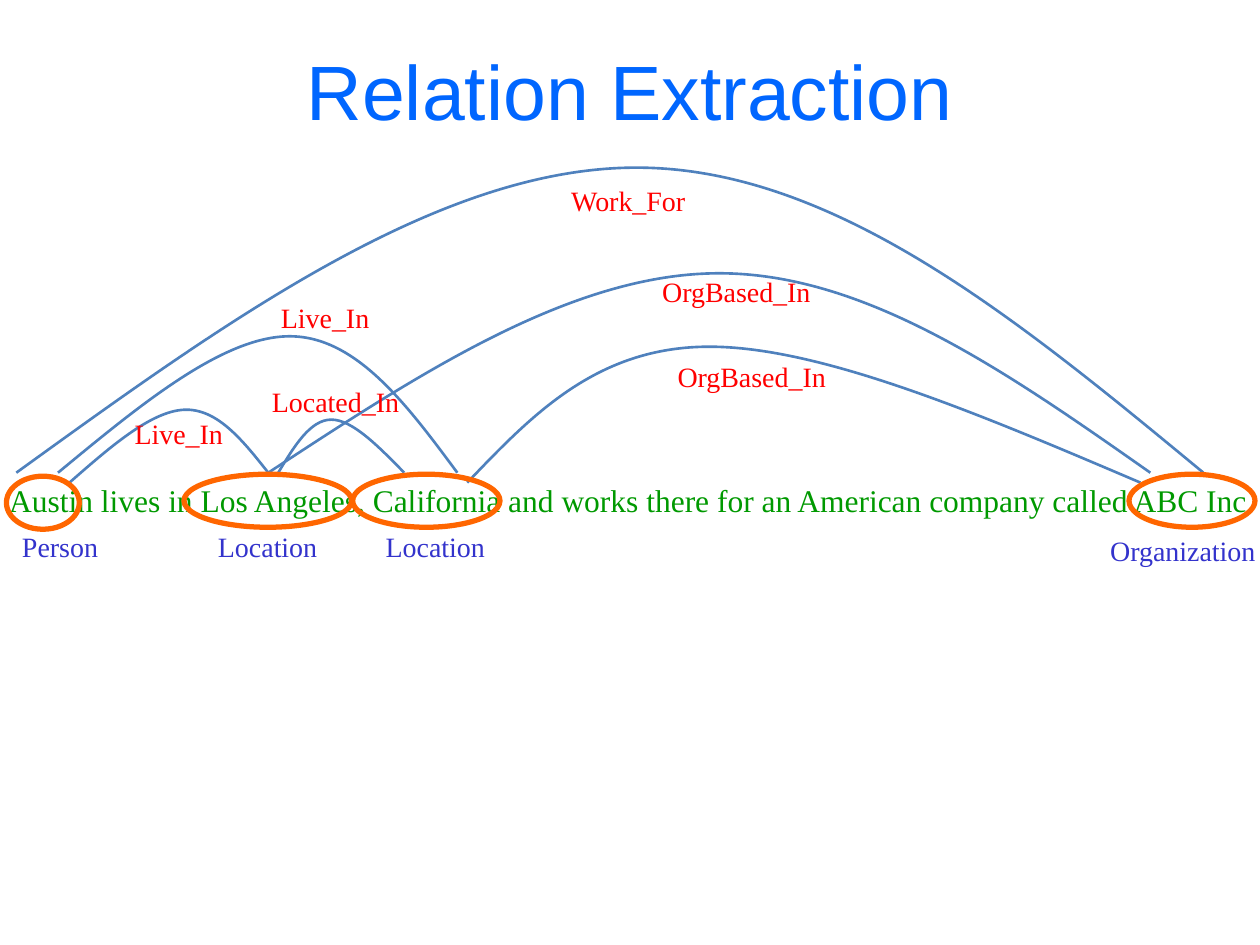
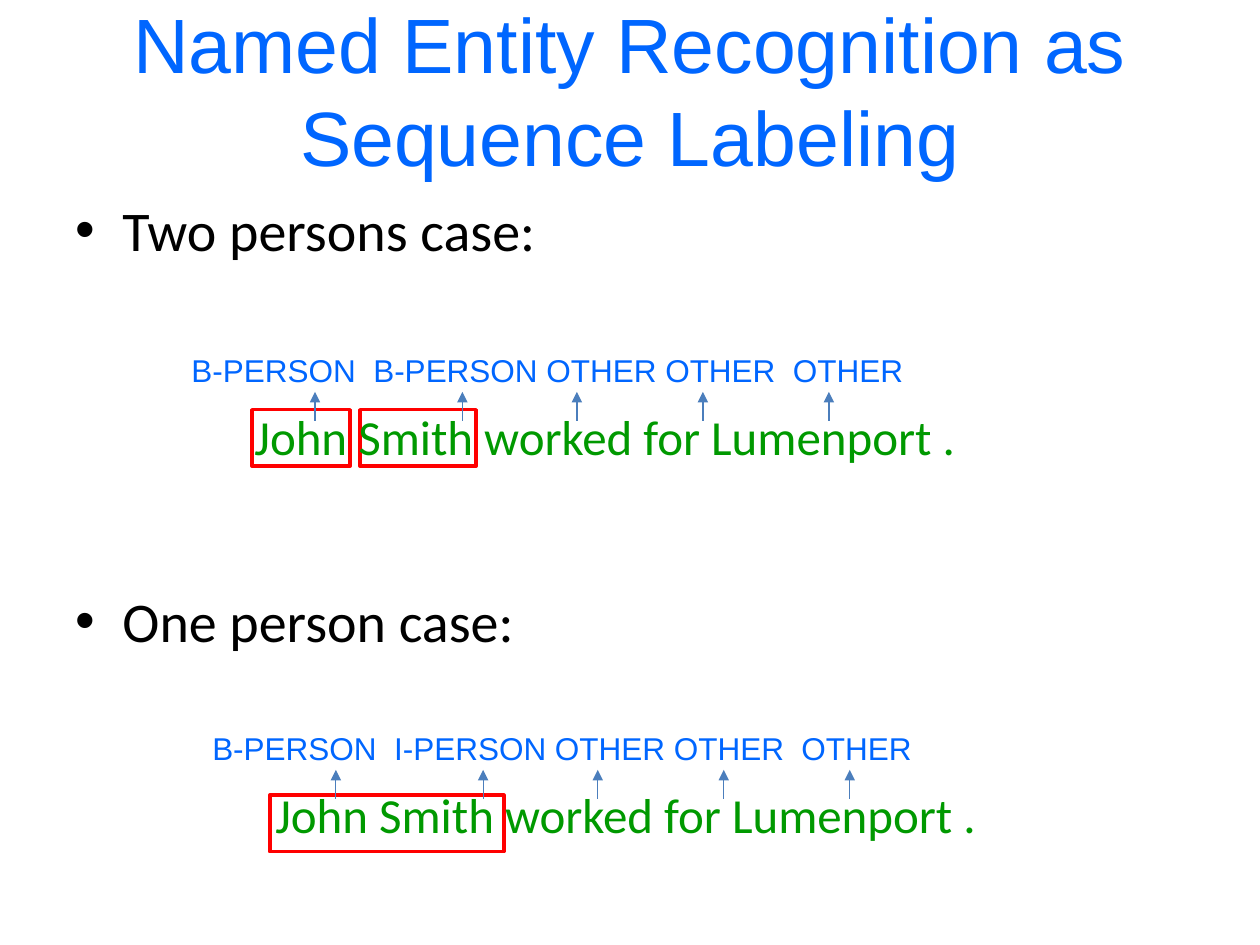
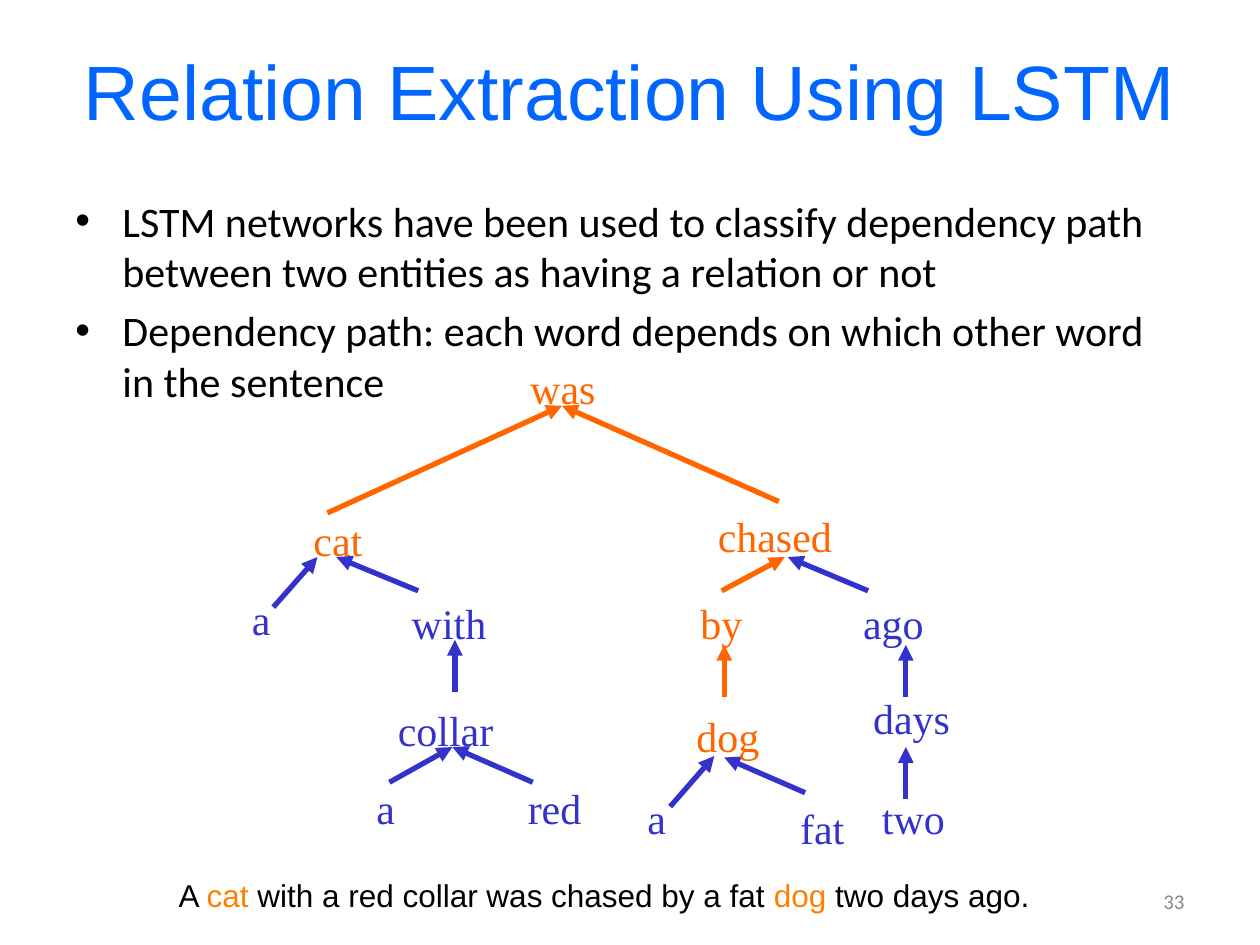
from lxml.etree import SubElement
from pptx import Presentation
from pptx.dml.color import RGBColor
from pptx.enum.shapes import MSO_CONNECTOR, MSO_SHAPE
from pptx.enum.text import MSO_ANCHOR, MSO_AUTO_SIZE, PP_ALIGN
from pptx.oxml.ns import qn
from pptx.util import Cm, Pt

color_of = RGBColor.from_string

# Shared colours and text formats
BLUE, GREEN, RED, ORANGE, INDIGO = "0066FF", "009900", "FF0000", "FF6600", "3333CC"
BLACK, GRAY, CURVE, TAG_ARROW, ENTITY = "000000", "898989", "4F81BD", "4B7EBC", "FF8000"
FORMATS = {
    "title": {"name": "Arial", "size": Pt(44)},
    "tags": {"name": "Arial", "size": Pt(18)},
    "sentence": {"name": "Times New Roman", "size": Pt(18)},
    "label": {"name": "Times New Roman", "size": Pt(16)},
    "word": {"name": "Times New Roman", "size": Pt(24)},
    "example": {"name": "Calibri", "size": Pt(28)},
    "number": {"name": "Calibri", "size": Pt(12)},
    "large bullet": {"name": "Calibri", "size": Pt(32)},
    "small bullet": {"name": "Calibri", "size": Pt(24)},
}


def write(para, text, style, color):
    span = para.add_run()
    span.text = text
    for name, value in FORMATS[style].items():
        setattr(span.font, name, value)
    span.font.color.rgb = color_of(color)


def add_arrow(page, start, end, color, width):
    arrow = page.shapes.add_connector(
        MSO_CONNECTOR.STRAIGHT, *[Cm(value) for value in (*start, *end)])
    arrow.line.color.rgb = color_of(color)
    arrow.line.width = Pt(width)
    SubElement(arrow.line._get_or_add_ln(), qn("a:tailEnd"), type="triangle")
    SubElement(arrow._element.spPr, qn("a:effectLst"))


deck = Presentation()
deck.slide_width, deck.slide_height = Cm(25.4), Cm(19.05)

# Titles and bullets of all slides
pages = []
for title, style, gap, bullets in [
    ("Relation Extraction", None, 0, []),
    ("Named Entity Recognition as Sequence Labeling", "large bullet", 185,
     ["Two persons case:", "One person case:"]),
    ("Relation Extraction Using LSTM", "small bullet", 5,
     ["LSTM networks have been used to classify dependency path "
      "between two entities as having a relation or not",
      "Dependency path: each word depends on which other word in the sentence"]),
]:
    page = deck.slides.add_slide(deck.slide_layouts[5])
    pages.append(page)
    box = page.shapes.title
    box.left, box.top, box.width, box.height = Cm(1.27), Cm(0.21), Cm(22.86), Cm(3.18)
    box.text_frame.auto_size = MSO_AUTO_SIZE.NONE
    box.text_frame.vertical_anchor = MSO_ANCHOR.MIDDLE
    box.text_frame.paragraphs[0].alignment = PP_ALIGN.CENTER
    write(box.text_frame.paragraphs[0], title, style="title", color=BLUE)
    if not bullets:
        continue
    frame = page.shapes.add_textbox(Cm(1.27), Cm(3.81), Cm(22.86), Cm(14.4)).text_frame
    frame.word_wrap = True
    for index, bullet in enumerate(bullets):
        para = frame.add_paragraph() if index else frame.paragraphs[0]
        para.space_before = Pt(gap if index else 0)
        write(para, bullet, style, BLACK)
        properties = para._p.get_or_add_pPr()
        properties.set("marL", str(Cm(0.95)))
        properties.set("indent", str(-Cm(0.95)))
        SubElement(properties, qn("a:buFont"), typeface="Arial")
        SubElement(properties, qn("a:buChar"), char="•")

relation_page, labeling_page, tree_page = pages

# Text boxes are gathered as (page, place, runs, style, align, wrap) and drawn last
texts = [(relation_page, (-0.13, 9.56, 25.76, 1.02),
          [("Austin lives in Los Angeles, California and works there "
            "for an American company called ABC Inc.", GREEN)],
          "sentence", PP_ALIGN.CENTER, False)]
# Outlines are gathered as (page, preset, place, line colour, line width)
outlines = []

# Relation Extraction: entities with their types
for kind, left, top, width, label_left, label_top, label_width in [
    ("Person", 0.13, 9.6, 1.47, 0.18, 10.54, 2.06),
    ("Location", 3.71, 9.56, 3.38, 4.14, 10.54, 2.51),
    ("Location", 7.11, 9.56, 2.97, 7.52, 10.54, 2.51),
    ("Organization", 22.76, 9.56, 2.54, 22.12, 10.62, 3.45),
]:
    outlines.append((relation_page, MSO_SHAPE.OVAL, (left, top, width, 1.07), ORANGE, 3))
    texts.append((relation_page, (label_left, label_top, label_width, 0.94),
                  [(kind, INDIGO)], "label", PP_ALIGN.CENTER, False))

# Relation Extraction: curves through start, peak and end
for relation, left, top, width, start, peak, end in [
    ("Located_In", 5.23, 7.62, 3.07, (5.61, 9.53), (6.68, 8.46), (8.15, 9.53)),
    ("Live_In", 5.41, 5.92, 2.29, (1.17, 9.53), (5.84, 6.78), (9.22, 9.53)),
    ("Live_In", 2.46, 8.26, 2.29, (1.4, 9.73), (3.71, 8.26), (5.41, 9.53)),
    ("OrgBased_In", 13.08, 5.41, 3.53, (5.41, 9.53), (14.5, 5.51), (23.19, 9.53)),
    ("OrgBased_In", 13.39, 7.11, 3.53, (9.42, 9.73), (14.3, 6.99), (22.99, 9.73)),
    ("Work_For", 11.23, 3.56, 2.87, (0.33, 9.53), (12.83, 3.38), (24.26, 9.53)),
]:
    before = [p - (e - s) / 6 for s, p, e in zip(start, peak, end)]
    after = [p + (e - s) / 6 for s, p, e in zip(start, peak, end)]
    rise = [(s + b) / 2 for s, b in zip(start, before)]
    fall = [(a + e) / 2 for a, e in zip(after, end)]
    builder = relation_page.shapes.build_freeform(*[Cm(value) for value in start])
    builder.add_line_segments(
        [(Cm(x), Cm(y)) for x, y in (rise, before, peak, after, fall, end)], close=False)
    curve = builder.convert_to_shape()
    curve.shadow.inherit = False
    curve.fill.background()
    curve.line.color.rgb = color_of(CURVE)
    curve.line.width = Pt(1.5)
    # Every three points become one Bézier segment
    outline = next(curve._element.iter(qn("a:path")))
    segments = outline.findall(qn("a:lnTo"))
    for first in (0, 3):
        bezier = SubElement(outline, qn("a:cubicBezTo"))
        for segment in segments[first:first + 3]:
            bezier.append(segment[0])
            outline.remove(segment)
    texts.append((relation_page, (left, top, width, 0.94), [(relation, RED)],
                  "label", PP_ALIGN.CENTER, False))

# Sequence labeling: the same example twice, the second one shifted
for tags, dx, dy, frames in [
    ("B-PERSON  B-PERSON OTHER OTHER  OTHER", 0, 0,
     [(7.26, 8.26, 2.34, 1.14), (5.08, 8.26, 1.98, 1.14)]),
    ("B-PERSON  I-PERSON OTHER OTHER  OTHER", 0.42, 7.62, [(5.44, 16.03, 4.72, 1.14)]),
]:
    for place in frames:
        outlines.append((labeling_page, MSO_SHAPE.RECTANGLE, place, RED, 2))
    texts.append((labeling_page, (4.88 + dx, 8.06 + dy, 15.04, 1.45),
                  [("John Smith worked for Lumenport .", GREEN)],
                  "example", PP_ALIGN.LEFT, True))
    texts.append((labeling_page, (3.61 + dx, 6.94 + dy, 15.19, 1.02),
                  [(tags, BLUE)], "tags", PP_ALIGN.LEFT, False))
    for x in (6.35, 9.32, 11.63, 14.17, 16.71):
        add_arrow(labeling_page, (x + dx, 8.48 + dy), (x + dx, 7.9 + dy), TAG_ARROW, 0.75)

# Dependency tree: each word with the arrow to the word it depends on
for word, left, top, width, start, end in [
    ("was", 10.44, 7.19, 1.83, None, None),
    ("cat", 6.07, 10.24, 1.5, (6.6, 10.34), (11.33, 8.18)),
    ("chased", 14.22, 10.16, 2.82, (15.7, 10.11), (11.33, 8.18)),
    ("a", 4.83, 11.84, 0.89, (5.51, 12.24), (6.4, 11.23)),
    ("with", 8.05, 11.91, 2.01, (8.43, 11.91), (6.78, 11.23)),
    ("by", 13.87, 11.91, 1.35, (14.55, 11.91), (15.82, 11.23)),
    ("ago", 17.15, 11.91, 1.73, (17.5, 11.91), (15.88, 11.23)),
    ("collar", 7.77, 14.07, 2.44, (9.17, 13.94), (9.17, 12.9)),
    ("a", 7.34, 15.65, 0.89, (7.85, 15.77), (9.12, 15.06)),
    ("red", 10.39, 15.65, 1.6, (10.74, 15.77), (9.12, 15.06)),
    ("dog", 13.79, 14.2, 1.78, (14.6, 14.05), (14.6, 13)),
    ("a", 12.8, 15.85, 0.89, (13.51, 16.26), (14.4, 15.24)),
    ("fat", 15.88, 16.05, 1.4, (16.23, 15.98), (14.6, 15.27)),
    ("days", 17.35, 13.84, 2.36, (18.26, 14.05), (18.26, 13)),
    ("two", 17.53, 15.85, 1.93, (18.26, 16.1), (18.26, 15.06)),
]:
    color = ORANGE if word in ("was", "cat", "chased", "by", "dog") else INDIGO
    # The two widest boxes wrap, which keeps their words at the left edge
    texts.append((tree_page, (left, top, width, 1.27), [(word, color)],
                  "word", PP_ALIGN.LEFT, word in ("days", "two")))
    if start:
        add_arrow(tree_page, start, end, color, 3)

# Example sentence and page number below the tree
texts.append((tree_page, (3.35, 17.53, 17.83, 1.02),
              [("A ", BLACK), ("cat", ENTITY),
               (" with a red collar was chased by a fat ", BLACK),
               ("dog", ENTITY), (" two days ago.", BLACK)],
              "tags", PP_ALIGN.LEFT, False))
texts.append((tree_page, (18.21, 17.65, 5.92, 1.02), [("33", GRAY)],
              "number", PP_ALIGN.RIGHT, True))

# Draw the text, then the ovals over it and the rectangles behind it
for page, place, runs, style, align, wrap in texts:
    frame = page.shapes.add_textbox(*[Cm(value) for value in place]).text_frame
    frame.word_wrap = wrap
    frame.vertical_anchor = MSO_ANCHOR.MIDDLE
    frame.paragraphs[0].alignment = align
    for text, color in runs:
        write(frame.paragraphs[0], text, style, color)

for page, preset, place, color, width in outlines:
    shape = page.shapes.add_shape(preset, *[Cm(value) for value in place])
    shape.shadow.inherit = False
    shape.fill.background()
    shape.line.color.rgb = color_of(color)
    shape.line.width = Pt(width)
    if preset == MSO_SHAPE.RECTANGLE:
        page.shapes.title._element.addprevious(shape._element)

deck.save("out.pptx")
